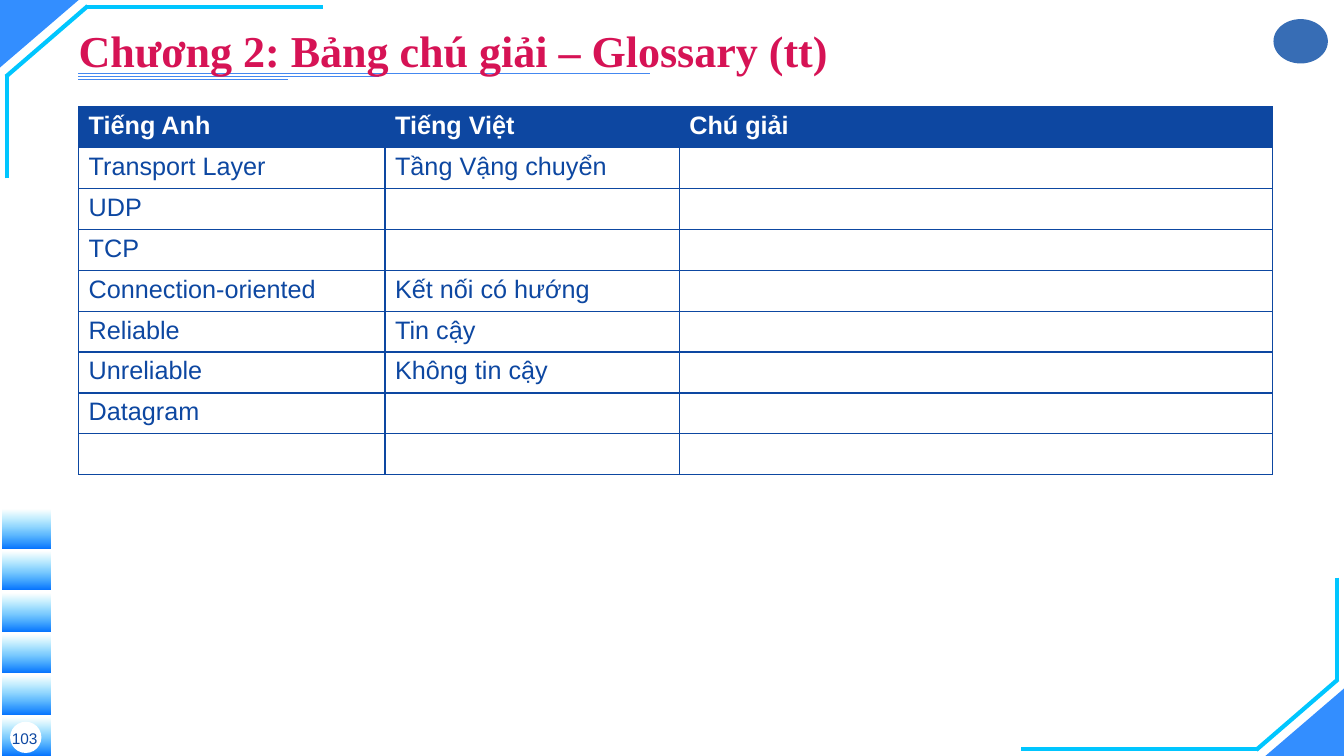
from typing import NamedTuple

from lxml import etree
from pptx import Presentation
from pptx.dml.color import RGBColor
from pptx.enum.shapes import MSO_CONNECTOR, MSO_SHAPE
from pptx.enum.text import MSO_ANCHOR, PP_ALIGN
from pptx.oxml import parse_xml
from pptx.oxml.ns import qn
from pptx.util import Inches, Pt

LINE = MSO_CONNECTOR.STRAIGHT
RECT, OVAL, WEDGE = MSO_SHAPE.RECTANGLE, MSO_SHAPE.OVAL, MSO_SHAPE.ISOSCELES_TRIANGLE
LEFT, MID, CENTER = PP_ALIGN.LEFT, MSO_ANCHOR.MIDDLE, PP_ALIGN.CENTER

WIDE, HIGH = Inches(13.33), Inches(7.5)
COL, ROW = WIDE / 100, HIGH / 100
NAVY, BLUE, CYAN, WHITE = "0D47A1", "0072FF", "00C6FF", "FFFFFF"
RULE, MARK, PINK = "4488F0", "376DB5", "D61355"
SPACE = "http://schemas.openxmlformats.org/drawingml/2006/main"


class Box(NamedTuple):
    """A frame in grid columns and rows, 100 of each per slide."""
    left: float
    top: float
    width: float
    height: float

    def emu(self) -> list[int]:
        """Return the frame in slide units."""
        return [int(n * u) for n, u in zip(self, (COL, ROW, COL, ROW))]


class Seg(NamedTuple):
    """A straight line between two grid points."""
    x1: float
    y1: float
    x2: float
    y2: float

    def turn(self) -> "Seg":
        """Return the line turned half round the slide's centre."""
        return Seg(*(100 - n for n in self))


BEND = [Seg(24, 0.93, 6.38, 0.93), Seg(6.53, 0.8, 0.45, 10.13), Seg(0.53, 23.6, 0.53, 9.87)]
ENDS = [48.39, 28.21, 21.46]
COLS = [22.8, 21.9, 44.12]
GRID = Box(5.85, 14.13, sum(COLS), 48.67)
TERMS = [
    ("Tiếng Anh", "Tiếng Việt", "Chú giải"),
    ("Transport Layer", "Tầng Vậng chuyển", ""),
    ("UDP", "", ""),
    ("TCP", "", ""),
    ("Connection-oriented", "Kết nối có hướng", ""),
    ("Reliable", "Tin cậy", ""),
    ("Unreliable", "Không tin cậy", ""),
    ("Datagram", "", ""),
    ("", "", ""),
]


def hue(code: str) -> RGBColor:
    """Turn a hex string into a colour."""
    return RGBColor.from_string(code)


def fade(node, share: int) -> None:
    """Give a colour node an opacity in percent."""
    etree.SubElement(node, qn("a:alpha")).set("val", str(share * 1000))


def write(frame, text: str, *, size: float, color: str, font: str = "Arial",
          bold: bool = False, align=LEFT) -> None:
    """Put one formatted paragraph in a text frame."""
    para = frame.paragraphs[0]
    para.alignment = align
    run = para.add_run()
    run.text = text
    run.font.size, run.font.name, run.font.bold = Pt(size), font, bold
    run.font.color.rgb = hue(color)


def label(slide, box: Box, text: str, **form):
    """Add a wrapped, middle-anchored text box and return its frame."""
    frame = slide.shapes.add_textbox(*box.emu()).text_frame
    frame.word_wrap = True
    frame.vertical_anchor = MID
    write(frame, text, **form)
    return frame


def draw(slide, kind, box: Box, color: str):
    """Add a filled shape without outline or shadow."""
    shape = slide.shapes.add_shape(kind, *box.emu())
    shape.shadow.inherit = False
    shape.line.fill.background()
    shape.fill.solid()
    shape.fill.fore_color.rgb = hue(color)
    return shape


def wedge(slide, box: Box, turn: int) -> None:
    """Add a see-through corner triangle."""
    shape = draw(slide, WEDGE, box, BLUE)
    shape.adjustments[0] = 1
    shape.rotation = turn
    fade(next(shape._element.iter(qn("a:srgbClr"))), 80)


def step(slide, box: Box) -> None:
    """Add a block that fades out towards its top."""
    shape = draw(slide, RECT, box, BLUE)
    shape.fill.gradient()
    shape.fill.gradient_angle = 90
    for stop, code in zip(shape.fill.gradient_stops, (BLUE, CYAN)):
        stop.color.rgb = hue(code)
    fade(list(shape._element.iter(qn("a:srgbClr")))[1], 0)


def stroke(slide, seg: Seg, color: str, width: float) -> None:
    """Add a plain straight line."""
    ends = [int(n * u) for n, u in zip(seg, (COL, ROW, COL, ROW))]
    line = slide.shapes.add_connector(LINE, *ends)
    line.line.color.rgb = hue(color)
    line.line.width = Pt(width)
    etree.SubElement(line._element.spPr, qn("a:effectLst"))


def edge(cell, color: str) -> None:
    """Draw a one-point border on all sides of a cell."""
    props = cell._tc.get_or_add_tcPr()
    for side in "LRTB":
        props.append(parse_xml(
            f'<a:ln{side} xmlns:a="{SPACE}" w="{Pt(1)}"><a:solidFill>'
            f'<a:srgbClr val="{color}"/></a:solidFill></a:ln{side}>'))


def terms(slide) -> None:
    """Add the glossary table."""
    table = slide.shapes.add_table(len(TERMS), len(COLS), *GRID.emu()).table
    table.horz_banding = False
    for col, width in zip(table.columns, COLS):
        col.width = int(width * COL)
    for i, (row, words) in enumerate(zip(table.rows, TERMS)):
        row.height = int(GRID.height * ROW / len(TERMS))
        head = i == 0
        for cell, word in zip(row.cells, words):
            edge(cell, NAVY)
            if head:
                cell.fill.solid()
                cell.fill.fore_color.rgb = hue(NAVY)
            else:
                cell.fill.background()
            if word:
                write(cell.text_frame, word, size=18, bold=head,
                      color=WHITE if head else NAVY)


def main() -> None:
    """Build the slide and save it."""
    deck = Presentation()
    deck.slide_width, deck.slide_height = WIDE, HIGH
    slide = deck.slides.add_slide(deck.slide_layouts[6])

    wedge(slide, Box(0, 0, 5.85, 8.93), 180)
    wedge(slide, Box(94.15, 91.07, 5.85, 8.93), 0)
    for seg in BEND:
        stroke(slide, seg, CYAN, 3)
        stroke(slide, seg.turn(), CYAN, 3)
    for i in range(6):
        step(slide, Box(0.15, 67.47 + 5.49 * i, 3.6, 5.07))
    draw(slide, OVAL, Box(94.75, 2.53, 4.05, 5.87), MARK)
    draw(slide, OVAL, Box(0.75, 95.47, 2.33, 4.13), WHITE)
    for i, end in enumerate(ENDS):
        y = 9.73 + 0.4 * i
        stroke(slide, Seg(5.81, y, end, y), RULE, 0.25)

    label(slide, Box(-2.18, 95.6, 8.03, 4.13), "103", size=11, color=NAVY, align=CENTER)
    title = label(slide, Box(5.85, 2.53, 87.25, 6.8), "Chương 2: Bảng chú giải – Glossary (tt)",
                  size=31.5, color=PINK, font="Times New Roman", bold=True)
    title.margin_left = 0
    title.paragraphs[0].line_spacing = 1.2
    terms(slide)
    deck.save("out.pptx")


if __name__ == "__main__":
    main()
